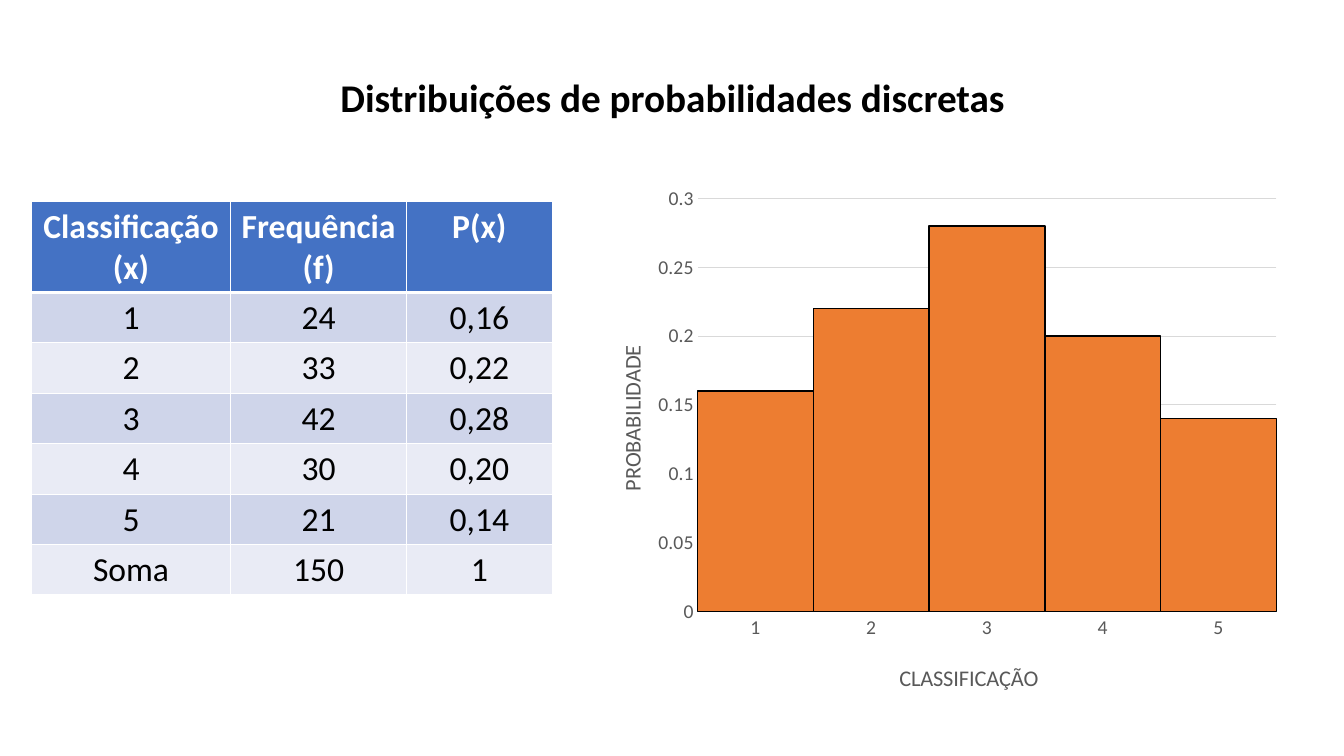
import dataclasses

import pptx
import pptx.chart.axis
import pptx.chart.data
import pptx.dml.color
import pptx.enum.chart
import pptx.enum.text
import pptx.oxml
import pptx.oxml.ns
import pptx.slide
import pptx.table
import pptx.text.text
import pptx.util

EMU_PER_PX = 9144  # 100 px to the inch
FONT = "Calibri"
COLOURS = {
    "black": "000000",
    "white": "FFFFFF",
    "header": "4472C4",
    "odd_row": "CFD5EA",
    "even_row": "E9EBF5",
    "bar": "ED7D31",
    "axis_text": "595959",
    "grid": "D9D9D9",
}
HEADINGS = ("Classificação (x)", "Frequência (f)", "P(x)")
ROWS = (
    ("1", "24", "0,16"),
    ("2", "33", "0,22"),
    ("3", "42", "0,28"),
    ("4", "30", "0,20"),
    ("5", "21", "0,14"),
    ("Soma", "150", "1"),
)
COLUMN_WIDTHS = (198, 174, 145)
HEADER_HEIGHT, ROW_HEIGHT = 84, 47
PROBABILITIES = (0.16, 0.22, 0.28, 0.2, 0.14)


@dataclasses.dataclass(frozen=True)
class TextStyle:
    size: int
    colour: str
    bold: bool = False


@dataclasses.dataclass(frozen=True)
class AxisTitle:
    text: str
    x: float
    y: float


TITLE_STYLE = TextStyle(28, "black", True)
HEADER_STYLE = TextStyle(24, "white", True)
BODY_STYLE = TextStyle(24, "black")
TICK_STYLE = TextStyle(14, "axis_text")
AXIS_TITLE_STYLE = TextStyle(16, "axis_text")
CATEGORY_TITLE = AxisTitle("CLASSIFICAÇÃO", 0.44, 0.91)
VALUE_TITLE = AxisTitle("PROBABILIDADE", 0.04, 0.31)


def px(length: int) -> pptx.util.Emu:
    return pptx.util.Emu(length * EMU_PER_PX)


def rgb(name: str) -> pptx.dml.color.RGBColor:
    return pptx.dml.color.RGBColor.from_string(COLOURS[name])


def style_font(font: pptx.text.text.Font, style: TextStyle) -> None:
    font.name = FONT
    font.size = pptx.util.Pt(style.size)
    font.bold = style.bold
    font.color.rgb = rgb(style.colour)


def write_centred(frame: pptx.text.text.TextFrame, text: str, style: TextStyle) -> None:
    paragraph = frame.paragraphs[0]
    paragraph.alignment = pptx.enum.text.PP_ALIGN.CENTER
    run = paragraph.add_run()
    run.text = text
    style_font(run.font, style)


def add_title(slide: pptx.slide.Slide) -> None:
    title = slide.shapes.add_textbox(px(92), px(73), px(1150), px(60)).text_frame
    title.word_wrap = True
    write_centred(title, "Distribuições de probabilidades discretas", TITLE_STYLE)
    title.paragraphs[0].line_spacing = 0.9
    title.paragraphs[0].space_before = pptx.util.Pt(10)


def border_cell(cell: pptx.table._Cell, bottom_width: int) -> None:
    """Draw white borders, 1 pt wide except for the bottom one."""
    properties = cell._tc.get_or_add_tcPr()
    widths = {"lnL": 1, "lnR": 1, "lnT": 1, "lnB": bottom_width}
    for position, (side, width) in enumerate(widths.items()):
        border = pptx.oxml.parse_xml(
            f'<a:{side} {pptx.oxml.ns.nsdecls("a")} w="{pptx.util.Pt(width)}">'
            f'<a:solidFill><a:srgbClr val="{COLOURS["white"]}"/></a:solidFill></a:{side}>'
        )
        properties.insert(position, border)


def add_frequency_table(slide: pptx.slide.Slide) -> None:
    height = HEADER_HEIGHT + ROW_HEIGHT * len(ROWS)
    table = slide.shapes.add_table(
        len(ROWS) + 1, len(HEADINGS), px(31), px(200), px(sum(COLUMN_WIDTHS)), px(height)
    ).table
    for column, width in zip(table.columns, COLUMN_WIDTHS):
        column.width = px(width)
    for index, texts in enumerate((HEADINGS, *ROWS)):
        is_header = index == 0
        table.rows[index].height = px(HEADER_HEIGHT if is_header else ROW_HEIGHT)
        fill = "header" if is_header else "odd_row" if index % 2 else "even_row"
        for cell, text in zip(table.rows[index].cells, texts):
            write_centred(cell.text_frame, text, HEADER_STYLE if is_header else BODY_STYLE)
            cell.fill.solid()
            cell.fill.fore_color.rgb = rgb(fill)
            # The first body row shares the header's thick lower edge.
            border_cell(cell, 3 if is_header else 1)
            if index == 1:
                cell._tc.tcPr.find(pptx.oxml.ns.qn("a:lnT")).set("w", str(pptx.util.Pt(3)))


def manual_layout(x: float, y: float, size: str = "", target: str = "") -> pptx.oxml.xmlchemy.BaseOxmlElement:
    """Place a chart part by fractions of the chart's width and height."""
    return pptx.oxml.parse_xml(
        f'<c:layout {pptx.oxml.ns.nsdecls("c")}><c:manualLayout>{target}'
        '<c:xMode val="edge"/><c:yMode val="edge"/>'
        f'<c:x val="{x}"/><c:y val="{y}"/>{size}</c:manualLayout></c:layout>'
    )


def replace_layout(parent: pptx.oxml.xmlchemy.BaseOxmlElement, layout: pptx.oxml.xmlchemy.BaseOxmlElement, position: int) -> None:
    for old in parent.findall(pptx.oxml.ns.qn("c:layout")):
        parent.remove(old)
    parent.insert(position, layout)


def style_axis(axis: pptx.chart.axis._BaseAxis, title: AxisTitle) -> None:
    axis.major_tick_mark = pptx.enum.chart.XL_TICK_MARK.NONE
    axis.minor_tick_mark = pptx.enum.chart.XL_TICK_MARK.NONE
    style_font(axis.tick_labels.font, TICK_STYLE)
    write_centred(axis.axis_title.text_frame, title.text, AXIS_TITLE_STYLE)
    replace_layout(axis.axis_title._element, manual_layout(title.x, title.y), 1)


def add_histogram(slide: pptx.slide.Slide) -> None:
    data = pptx.chart.data.CategoryChartData()
    data.categories = [str(rating) for rating in range(1, len(PROBABILITIES) + 1)]
    data.add_series("Series 1", PROBABILITIES)
    chart = slide.shapes.add_chart(
        pptx.enum.chart.XL_CHART_TYPE.COLUMN_CLUSTERED, px(580), px(176), px(700), px(525), data
    ).chart
    chart.has_legend = False
    chart.has_title = False
    style_font(chart.font, TextStyle(10, "black"))

    ratings, probabilities = chart.category_axis, chart.value_axis
    style_axis(ratings, CATEGORY_TITLE)
    style_axis(probabilities, VALUE_TITLE)
    probabilities.axis_title.text_frame._txBody.bodyPr.set("rot", "-5400000")
    probabilities.minimum_scale = 0
    probabilities.maximum_scale = 0.3
    probabilities.major_unit = 0.05
    probabilities.format.line.fill.background()
    for line in (ratings.format.line, probabilities.major_gridlines.format.line):
        line.color.rgb = rgb("grid")
        line.width = pptx.util.Pt(0.75)

    plot = chart.plots[0]
    plot.vary_by_categories = False
    plot.gap_width = 0
    bars = plot.series[0].format
    bars.fill.solid()
    bars.fill.fore_color.rgb = rgb("bar")
    bars.line.color.rgb = rgb("black")
    bars.line.width = pptx.util.Pt(1)

    plot_area = chart._chartSpace.chart.plotArea
    inner = manual_layout(0.16, 0.04, '<c:w val="0.82"/><c:h val="0.78"/>', '<c:layoutTarget val="inner"/>')
    replace_layout(plot_area, inner, 0)


def main() -> None:
    presentation = pptx.Presentation()
    presentation.slide_width = px(1333)
    presentation.slide_height = px(750)
    slide = presentation.slides.add_slide(presentation.slide_layouts[6])
    add_title(slide)
    add_frequency_table(slide)
    add_histogram(slide)
    presentation.save("out.pptx")


if __name__ == "__main__":
    main()
